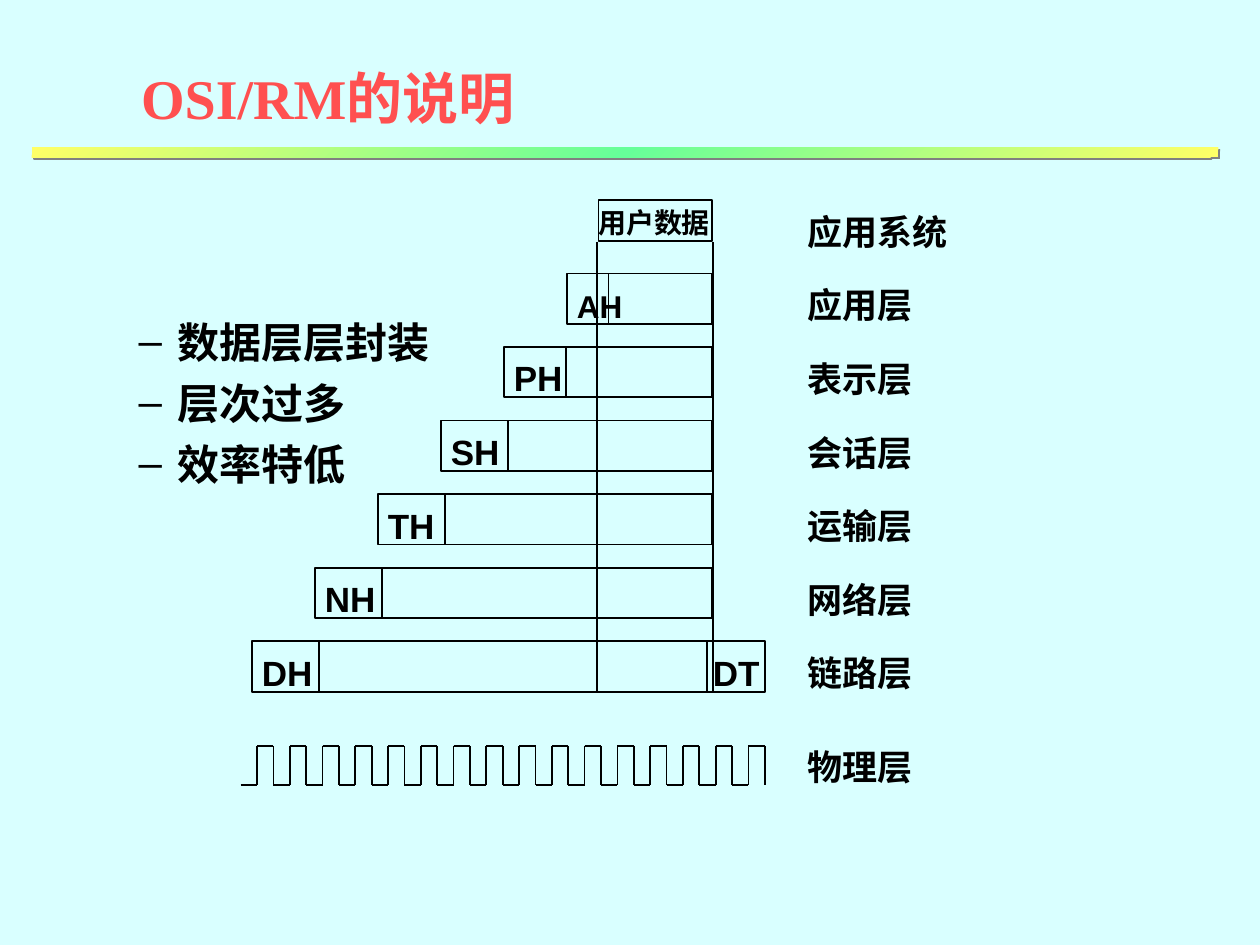
from dataclasses import dataclass
from lxml.etree import SubElement
from pptx import Presentation
from pptx.dml.color import RGBColor
from pptx.enum.shapes import MSO_CONNECTOR, MSO_SHAPE
from pptx.enum.text import MSO_ANCHOR, MSO_AUTO_SIZE, PP_ALIGN
from pptx.oxml import parse_xml
from pptx.oxml.ns import nsdecls, qn
from pptx.util import Inches, Pt


@dataclass(frozen=True)
class Theme:
    background: str = "D9FFFF"
    ink: str = "000000"
    title: str = "FF5050"
    bar_edge: str = "FFFF66"
    bar_middle: str = "66FF99"
    bar_shadow: str = "808080"
    title_font: str = "Times New Roman"
    body_font: str = "Arial"
    title_size: int = 32
    body_size: int = 24
    label_size: int = 20
    small_size: int = 18
    data_size: int = 16
    line_width: int = 1


THEME = Theme()
ROW_TOP, ROW_PITCH, ROW_HEIGHT = 2.17, 0.584, 0.4
DATA_LEFT, DATA_RIGHT = 4.74, 5.66
BLOCK_RIGHT, FRAME_RIGHT = 5.65, 6.07
LABEL_LEFT, LABEL_TOP, LABEL_HEIGHT = 6.31, 1.62, 0.43
LABEL_WIDTH = 1.35

HEADERS = [
    ("AH", 0.33, 0.56),
    ("PH", 0.49, 0.59),
    ("SH", 0.53, 0.59),
    ("TH", 0.53, 0.57),
    ("NH", 0.53, 0.6),
    ("DH", 0.53, 0.6),
]
LAYERS = ["应用系统", "应用层", "表示层", "会话层", "运输层", "网络层", "链路层"]


def place(shape, left, top, width, height):
    shape.left, shape.top = Inches(left), Inches(top)
    shape.width, shape.height = Inches(width), Inches(height)


def write(para, text, size=THEME.label_size, font=THEME.body_font, color=THEME.ink):
    span = para.add_run()
    span.text = text
    span.font.size = Pt(size)
    span.font.name = font
    span.font.bold = True
    span.font.color.rgb = RGBColor.from_string(color)


def add_label(canvas, text, left, top, width, height=LABEL_HEIGHT, wrap=False, **style):
    box = canvas.add_textbox(*map(Inches, (left, top, width, height)))
    box.text_frame.word_wrap = wrap
    box.text_frame.auto_size = MSO_AUTO_SIZE.SHAPE_TO_FIT_TEXT
    write(box.text_frame.paragraphs[0], text, **style)


def add_line(canvas, x1, y1, x2, y2):
    line = canvas.add_connector(MSO_CONNECTOR.STRAIGHT, *map(Inches, (x1, y1, x2, y2)))
    line.line.color.rgb = RGBColor.from_string(THEME.ink)
    line.line.width = Pt(THEME.line_width)
    SubElement(line._element.spPr, qn("a:effectLst"))


def add_block(canvas, left, top, right, height=ROW_HEIGHT):
    block = canvas.add_shape(
        MSO_SHAPE.RECTANGLE, *map(Inches, (left, top, right - left, height))
    )
    block.shadow.inherit = False
    block.fill.background()
    block.line.color.rgb = RGBColor.from_string(THEME.ink)
    block.line.width = Pt(THEME.line_width)


def add_title(page):
    title = page.shapes.title
    place(title, 1.02, 0.45, 4, 0.64)
    frame = title.text_frame
    frame.word_wrap = True
    frame.vertical_anchor = MSO_ANCHOR.TOP
    para = frame.paragraphs[0]
    para.alignment = PP_ALIGN.LEFT
    write(para, "OSI/RM的说明", size=THEME.title_size,
          font=THEME.title_font, color=THEME.title)


def add_bullets(page, items):
    body = page.placeholders[1]
    place(body, 0.5, 2.46, 3.4, 1.6)
    frame = body.text_frame
    for index, item in enumerate(items):
        para = frame.add_paragraph() if index else frame.paragraphs[0]
        para.level = 1
        props = para._p.get_or_add_pPr()
        props.set("marL", str(Inches(0.81)))
        props.set("indent", str(Inches(-0.31)))
        color = SubElement(props, qn("a:buClr"))
        SubElement(color, qn("a:srgbClr"), val=THEME.ink)
        SubElement(props, qn("a:buChar"), char="–")
        para.space_before = Pt(6 if index else 0)
        write(para, item, size=THEME.body_size)


def add_bar(page):
    bar = page.shapes.add_shape(
        MSO_SHAPE.RECTANGLE, *map(Inches, (0.25, 1.17, 9.42, 0.08))
    )
    bar.line.fill.background()
    stops = [(0, THEME.bar_edge), (50, THEME.bar_middle), (100, THEME.bar_edge)]
    stop_xml = "".join(
        f'<a:gs pos="{position * 1000}"><a:srgbClr val="{color}"/></a:gs>'
        for position, color in stops
    )
    props = bar._element.spPr
    props.find(qn("a:prstGeom")).addnext(parse_xml(
        f'<a:gradFill {nsdecls("a")}><a:gsLst>{stop_xml}</a:gsLst>'
        '<a:lin ang="13500000" scaled="0"/></a:gradFill>'
    ))
    props.append(parse_xml(
        f'<a:effectLst {nsdecls("a")}><a:outerShdw dist="{Pt(1.4)}" dir="2700000">'
        f'<a:srgbClr val="{THEME.bar_shadow}"/></a:outerShdw></a:effectLst>'
    ))


def add_encapsulation(canvas):
    add_block(canvas, 4.75, 1.59, BLOCK_RIGHT, height=0.32)
    add_label(canvas, "用户数据", 4.65, 1.58, 1.09, height=0.36, size=THEME.data_size)
    for row, (header, header_width, label_width) in enumerate(HEADERS):
        left = 4.5 - 0.5 * row
        top = ROW_TOP + ROW_PITCH * row
        is_frame = header == "DH"
        add_block(canvas, left, top, FRAME_RIGHT if is_frame else BLOCK_RIGHT)
        dividers = [left + header_width] + ([5.61] if is_frame else [])
        for x in dividers:
            add_line(canvas, x, top, x, top + ROW_HEIGHT)
        is_first = row == 0
        add_label(canvas, header, left - 0.02, top + (0.06 if is_first else 0.03),
                  label_width, height=0.4 if is_first else LABEL_HEIGHT,
                  size=THEME.small_size if is_first else THEME.label_size)
    add_label(canvas, "DT", 5.56, 5.12, 0.57)
    for x in (DATA_LEFT, DATA_RIGHT):
        add_line(canvas, x, 1.92, x, 5.49)


def add_layer_names(canvas):
    for row, name in enumerate(LAYERS):
        add_label(canvas, name, LABEL_LEFT, LABEL_TOP + ROW_PITCH * row,
                  LABEL_WIDTH, wrap=True)
    add_label(canvas, "物理层", LABEL_LEFT, 5.87, LABEL_WIDTH, wrap=True)


def add_signal(canvas, start=1.91, high=5.92, low=6.23, half=0.13, pulses=16):
    for pulse in range(pulses):
        left = start + 2 * half * pulse
        rise, fall = left + half, left + 2 * half
        add_line(canvas, left, low, rise, low)
        add_line(canvas, rise, high, rise, low)
        add_line(canvas, rise, high, fall, high)
        add_line(canvas, fall, high, fall, low)


def main():
    deck = Presentation()
    deck.slide_width, deck.slide_height = Inches(10), Inches(7.5)
    page = deck.slides.add_slide(deck.slide_layouts[1])
    page.background.fill.solid()
    page.background.fill.fore_color.rgb = RGBColor.from_string(THEME.background)
    add_title(page)
    add_bullets(page, ["数据层层封装", "层次过多", "效率特低"])
    diagram = page.shapes.add_group_shape().shapes
    add_encapsulation(diagram)
    add_layer_names(diagram)
    add_signal(diagram)
    add_bar(page)
    deck.save("out.pptx")


if __name__ == "__main__":
    main()
